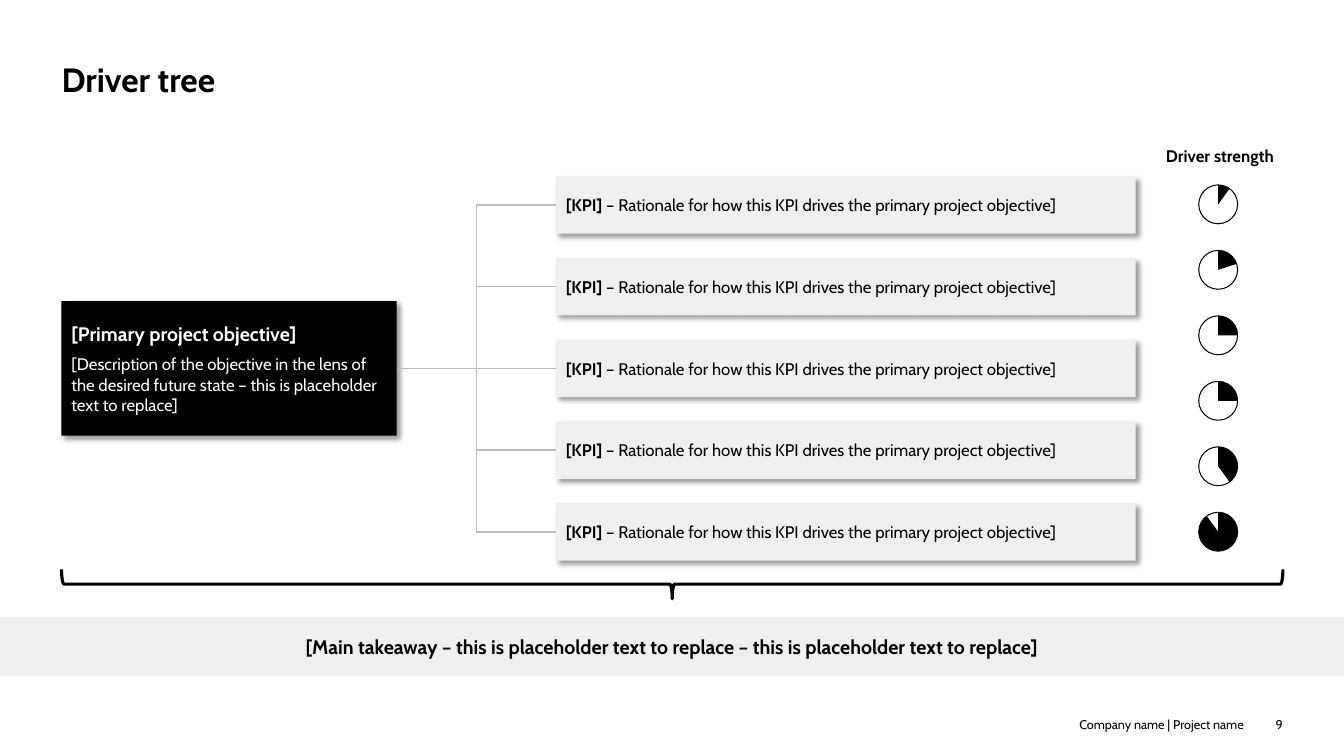
from dataclasses import dataclass

import pptx
import pptx.dml.color
import pptx.enum.shapes
import pptx.enum.text
import pptx.oxml
import pptx.oxml.ns
import pptx.util
from pptx.util import Cm

SHAPES = pptx.enum.shapes.MSO_SHAPE
CONNECTORS = pptx.enum.shapes.MSO_CONNECTOR
ALIGN = pptx.enum.text.PP_ALIGN
ANCHOR = pptx.enum.text.MSO_ANCHOR


@dataclass(frozen=True)
class Theme:
    font: str = "Cabin"
    black: str = "000000"
    white: str = "FFFFFF"
    panel: str = "EFEFEF"
    branch: str = "BBBCBC"
    title_size: int = 24
    heading_size: int = 14
    body_size: int = 12
    footer_size: int = 9


@dataclass(frozen=True)
class Area:
    """A rectangle on the page, in centimetres."""
    left: float
    top: float
    width: float
    height: float

    def lengths(self) -> tuple:
        return Cm(self.left), Cm(self.top), Cm(self.width), Cm(self.height)


@dataclass(frozen=True)
class Span:
    text: str
    size: int
    bold: bool = False
    color: str = "000000"


@dataclass(frozen=True)
class Label:
    area: Area
    span: Span
    align: ALIGN
    anchor: ANCHOR
    wrap: bool = False


THEME = Theme()
PAGE_WIDTH, PAGE_HEIGHT = 33.87, 19.05
MARGIN, CONTENT_WIDTH = 1.55, 30.78
TITLE = Area(MARGIN, 0.99, CONTENT_WIDTH, 1.5)
OBJECTIVE = Area(MARGIN, 7.59, 8.45, 3.39)
BRACE = Area(MARGIN, 14.35, CONTENT_WIDTH, 0.74)
TAKEAWAY = Area(0, 15.54, PAGE_WIDTH, 1.5)

KPI_PITCH = 2.06
KPI_AREAS = [Area(14.01, 4.44 + row * KPI_PITCH, 14.61, 1.45) for row in range(5)]
KPI_SPANS = [
    Span("[KPI] ", THEME.body_size, bold=True),
    Span("– Rationale for how this KPI drives the primary project objective]", THEME.body_size),
]

STRENGTHS = [0.1, 0.2, 0.25, 0.25, 0.4, 0.9]
STRENGTH_PITCH = 1.65

LABELS = [
    Label(Area(29.26, 3.66, 2.97, 0.53),
          Span("Driver strength", THEME.body_size, bold=True), ALIGN.CENTER, ANCHOR.MIDDLE),
    Label(Area(26.92, 18.06, 4.42, 0.38),
          Span("Company name | Project name", THEME.footer_size), ALIGN.RIGHT, ANCHOR.BOTTOM),
    Label(Area(31.42, 18.06, 0.91, 0.38),
          Span("9", THEME.footer_size), ALIGN.RIGHT, ANCHOR.BOTTOM, wrap=True),
]


def rgb(color: str) -> pptx.dml.color.RGBColor:
    return pptx.dml.color.RGBColor.from_string(color)


def write(para, spans: list[Span], align: ALIGN = ALIGN.LEFT) -> None:
    para.alignment = align
    for span in spans:
        run = para.add_run()
        run.text = span.text
        run.font.name = THEME.font
        run.font.size = pptx.util.Pt(span.size)
        run.font.bold = span.bold
        run.font.color.rgb = rgb(span.color)


def set_frame(frame, inset: float, anchor: ANCHOR, wrap: bool = True) -> None:
    frame.auto_size = pptx.enum.text.MSO_AUTO_SIZE.NONE
    frame.word_wrap = wrap
    frame.vertical_anchor = anchor
    frame.margin_left = frame.margin_right = Cm(inset)
    frame.margin_top = frame.margin_bottom = Cm(inset)


def add_plain(page, kind: SHAPES, area: Area, fill: str | None, line: str | None = None,
              weight: float = 0.75):
    shape = page.shapes.add_shape(kind, *area.lengths())
    shape.shadow.inherit = False
    if fill:
        shape.fill.solid()
        shape.fill.fore_color.rgb = rgb(fill)
    else:
        shape.fill.background()
    if line:
        shape.line.color.rgb = rgb(line)
        shape.line.width = pptx.util.Pt(weight)
    else:
        shape.line.fill.background()
    return shape


def add_card(page, area: Area, fill: str, paragraphs: list[list[Span]]):
    """Add a text panel with a soft shadow to the lower right."""
    card = add_plain(page, SHAPES.RECTANGLE, area, fill)
    effects = card.element.spPr.find(pptx.oxml.ns.qn("a:effectLst"))
    effects.append(pptx.oxml.parse_xml(
        f'<a:outerShdw {pptx.oxml.ns.nsdecls("a")} blurRad="50800" dist="38100" dir="2700000" '
        f'algn="tl" rotWithShape="0"><a:srgbClr val="{THEME.black}"><a:alpha val="40000"/>'
        '</a:srgbClr></a:outerShdw>'))
    frame = card.text_frame
    set_frame(frame, 0.25, ANCHOR.MIDDLE)
    for index, spans in enumerate(paragraphs):
        para = frame.add_paragraph() if index else frame.paragraphs[0]
        if index:
            para.space_before = pptx.util.Pt(6)
        write(para, spans)
    return card


def add_branch(page, objective, kpi, kind: CONNECTORS) -> None:
    branch = page.shapes.add_connector(kind, 0, 0, 0, 0)
    branch.begin_connect(objective, 3)
    branch.end_connect(kpi, 1)
    branch.line.color.rgb = rgb(THEME.branch)
    branch.line.width = pptx.util.Pt(1)
    branch.element.spPr.append(pptx.oxml.parse_xml(
        f'<a:effectLst {pptx.oxml.ns.nsdecls("a")}/>'))


def add_strength(page, area: Area, share: float) -> None:
    """Add a circle filled clockwise from the top by the given share."""
    add_plain(page, SHAPES.OVAL, area, THEME.white, THEME.black)
    wedge = add_plain(page, SHAPES.PIE, area, THEME.black)
    for index, degrees in enumerate((270, (270 + 360 * share) % 360)):
        wedge.adjustments[index] = degrees * 0.6


def add_label(page, label: Label) -> None:
    box = page.shapes.add_textbox(*label.area.lengths())
    set_frame(box.text_frame, 0, label.anchor, label.wrap)
    write(box.text_frame.paragraphs[0], [label.span], label.align)


def add_title(page) -> None:
    title = page.shapes.title
    title.left, title.top, title.width, title.height = TITLE.lengths()
    set_frame(title.text_frame, 0, ANCHOR.BOTTOM)
    write(title.text_frame.paragraphs[0], [Span("Driver tree", THEME.title_size, bold=True)])


def add_tree(page) -> None:
    objective = add_card(page, OBJECTIVE, THEME.black, [
        [Span("[Primary project objective]", THEME.heading_size, True, THEME.white)],
        [Span("[Description of the objective in the lens of the desired future state "
              "– this is placeholder text to replace]", THEME.body_size, False, THEME.white)],
    ])
    for row, area in enumerate(KPI_AREAS):
        kpi = add_card(page, area, THEME.panel, [KPI_SPANS])
        level = row == len(KPI_AREAS) // 2
        add_branch(page, objective, kpi, CONNECTORS.STRAIGHT if level else CONNECTORS.ELBOW)


def add_takeaway(page) -> None:
    upright = Area(BRACE.left + (BRACE.width - BRACE.height) / 2,
                   BRACE.top + (BRACE.height - BRACE.width) / 2, BRACE.height, BRACE.width)
    brace = add_plain(page, SHAPES.RIGHT_BRACE, upright, None, THEME.black, 2.25)
    brace.rotation = 90
    band = add_plain(page, SHAPES.RECTANGLE, TAKEAWAY, THEME.panel)
    set_frame(band.text_frame, 0.25, ANCHOR.MIDDLE)
    write(band.text_frame.paragraphs[0], [Span(
        "[Main takeaway – this is placeholder text to replace – this is placeholder text "
        "to replace]", THEME.heading_size, bold=True)], ALIGN.CENTER)


def main() -> None:
    deck = pptx.Presentation()
    deck.slide_width, deck.slide_height = Cm(PAGE_WIDTH), Cm(PAGE_HEIGHT)
    page = deck.slides.add_slide(deck.slide_layouts[5])
    add_title(page)
    add_tree(page)
    for row, share in enumerate(STRENGTHS):
        add_strength(page, Area(30.21, 4.66 + row * STRENGTH_PITCH, 0.98, 0.98), share)
    add_takeaway(page)
    for label in LABELS:
        add_label(page, label)
    deck.save("out.pptx")


if __name__ == "__main__":
    main()
